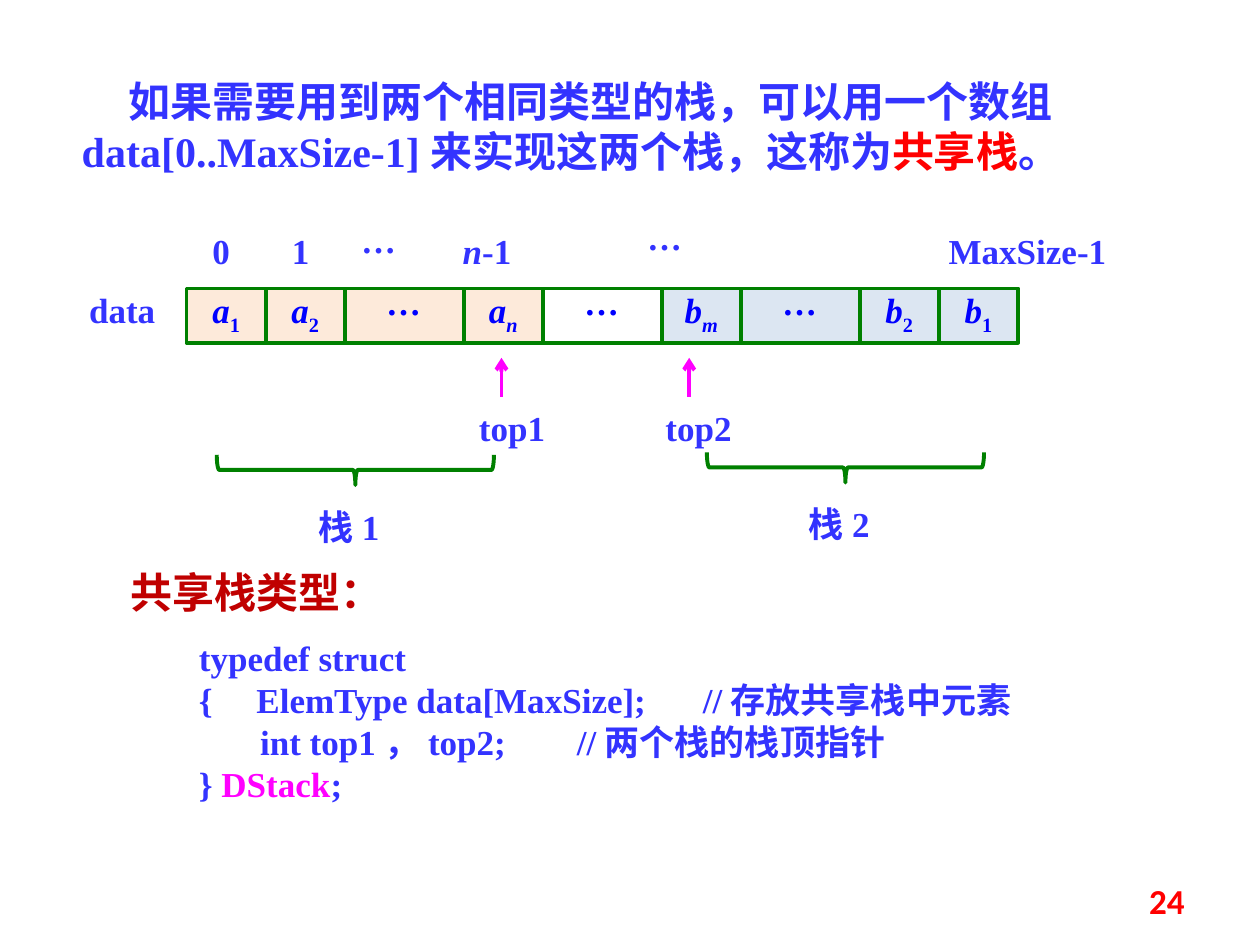
import pptx
import pptx.dml.color
import pptx.enum.shapes
import pptx.enum.text
import pptx.oxml.ns
import pptx.util
from lxml import etree

Inches, Pt = pptx.util.Inches, pptx.util.Pt
RGBColor = pptx.dml.color.RGBColor
SHAPE = pptx.enum.shapes.MSO_SHAPE
ALIGN = pptx.enum.text.PP_ALIGN
MIDDLE = pptx.enum.text.MSO_ANCHOR.MIDDLE
qn = pptx.oxml.ns.qn

BLUE = RGBColor(0x33, 0x33, 0xFF)
INK = RGBColor(0x00, 0x00, 0xFF)
RED = RGBColor(0xFF, 0x00, 0x00)
DARK = RGBColor(0xC0, 0x00, 0x00)
PINK = RGBColor(0xFF, 0x00, 0xFF)
GREEN = RGBColor(0x00, 0x80, 0x00)
PEACH = RGBColor(0xFD, 0xEA, 0xDA)
PALE = RGBColor(0xDC, 0xE6, 0xF2)

ROMAN, HAN = "Times New Roman", "Noto Sans CJK SC"
BASE = {"name": ROMAN, "size": Pt(20), "bold": True}
DOTS = ("…", {"name": HAN})


def put(item, values):
    for key, value in values.items():
        setattr(item, key, value)


def write(para, runs, color, extra=None):
    """Add runs given as (text, format) pairs; "color" and "sub" are special."""
    for text, own in runs:
        look = {**BASE, **(extra or {}), **own}
        shade = look.pop("color", color)
        sub = look.pop("sub", False)
        run = para.add_run()
        run.text = text
        put(run.font, look)
        run.font.color.rgb = shade
        props = run._r.get_or_add_rPr()
        if sub:
            props.set("baseline", "-25000")
        etree.SubElement(props, qn("a:ea")).set("typeface", HAN)


def block(slide, spot, lines, color=BLUE, extra=None, align=None, frame=None):
    """Add a text box with one paragraph per list of runs."""
    box = slide.shapes.add_textbox(*map(Inches, spot))
    text = box.text_frame
    put(text, {"word_wrap": True, **(frame or {})})
    for num, runs in enumerate(lines):
        para = text.add_paragraph() if num else text.paragraphs[0]
        para.alignment = align
        write(para, runs, color, extra)
    return box


def label(slide, left, top, width, *runs):
    frame = dict.fromkeys(
        ("margin_left", "margin_right", "margin_top", "margin_bottom"), 0)
    frame["word_wrap"] = False
    block(slide, (left, top, width, 0.34), [runs], align=ALIGN.CENTER,
          frame=frame)


def cell(slide, left, width, runs, fill):
    box = slide.shapes.add_shape(
        SHAPE.RECTANGLE, *map(Inches, (left, 2.29, width, 0.43)))
    box.shadow.inherit = False
    if fill:
        box.fill.solid()
        box.fill.fore_color.rgb = fill
    else:
        box.fill.background()
    box.line.color.rgb = GREEN
    box.line.width = Pt(2.25)
    put(box.text_frame, {"margin_top": 0, "margin_bottom": Inches(0.05),
                         "vertical_anchor": MIDDLE})
    para = box.text_frame.paragraphs[0]
    para.alignment = ALIGN.CENTER
    write(para, runs, INK)


def arrow(slide, left):
    line = slide.shapes.add_connector(
        pptx.enum.shapes.MSO_CONNECTOR.STRAIGHT,
        *map(Inches, (left, 3.15, left, 2.84)))
    line.line.color.rgb = PINK
    line.line.width = Pt(2.25)
    tail = etree.SubElement(line.line._get_or_add_ln(), qn("a:tailEnd"))
    tail.set("type", "arrow")
    etree.SubElement(line._element.spPr, qn("a:effectLst"))


def brace(slide, left, top):
    mark = slide.shapes.add_shape(
        SHAPE.RIGHT_BRACE, *map(Inches, (left, top, 0.24, 2.2)))
    mark.rotation = 90
    mark.shadow.inherit = False
    mark.fill.background()
    mark.line.color.rgb = GREEN
    mark.line.width = Pt(2.25)


def item(name, index):
    return [(name, {"italic": True}),
            (index, {"italic": index.isalpha(), "sub": True})]


def array(slide):
    # Cells are two units wide, gaps three
    unit, left = 6.6 / 21, 1.48
    cells = [
        (item("a", "1"), PEACH), (item("a", "2"), PEACH), ([DOTS], PEACH),
        (item("a", "n"), PEACH), ([DOTS], None), (item("b", "m"), PALE),
        ([DOTS], PALE), (item("b", "2"), PALE), (item("b", "1"), PALE),
    ]
    for runs, fill in cells:
        width = unit * (3 if runs == [DOTS] else 2)
        cell(slide, left, width, runs, fill)
        left += width

    # Indexes and array name
    label(slide, 1.56, 1.82, 0.39, ("0", {}))
    label(slide, 2.19, 1.82, 0.39, ("1", {}))
    label(slide, 2.81, 1.82, 0.39, DOTS)
    label(slide, 3.67, 1.82, 0.39, ("n", {"italic": True}), ("-1", {}))
    label(slide, 5.08, 1.8, 0.39, DOTS)
    label(slide, 7.49, 1.82, 1.33, ("MaxSize-1", {}))
    label(slide, 0.62, 2.29, 0.7, ("data", {}))


def main():
    deck = pptx.Presentation()
    put(deck, {"slide_width": Inches(10), "slide_height": Inches(7.5)})
    slide = deck.slides.add_slide(deck.slide_layouts[6])

    # Opening statement
    intro = block(slide, (0.55, 0.55, 8.52, 0.91), [[
        ("如果需要用到两个相同类型的栈，可以用一个数组"
         "data[0..MaxSize-1]来实现这两个栈，这称为", {}),
        ("共享栈", {"color": RED}), ("。", {})]], extra={"size": Pt(24)})
    intro.text_frame.paragraphs[0]._p.get_or_add_pPr().set(
        "indent", str(Inches(0.37)))

    array(slide)

    # Top pointers and stack extents
    for num, tip, name, mark, top in ((1, 3.98, 3.75, 2.7, 2.63),
                                      (2, 5.47, 5.23, 6.59, 2.61)):
        arrow(slide, tip)
        label(slide, name, 3.23, 0.63, (f"top{num}", {}))
        brace(slide, mark, top)
        label(slide, mark - 0.28, top + 1.38, 0.7, (f"栈{num}", {}))

    # Type definition
    block(slide, (1.48, 5, 7.11, 1.45), [
        [("typedef struct", {})],
        [("{     ElemType data[MaxSize];\t//存放共享栈中元素", {})],
        [("       int top1，top2;\t\t//两个栈的栈顶指针", {})],
        [("} ", {}), ("DStack", {"color": PINK}), (";", {})],
    ])
    block(slide, (0.94, 4.45, 2.42, 0.5), [[("共享栈类型：", {})]], DARK,
          {"name": HAN, "size": Pt(24)})

    # Page number
    block(slide, (7.17, 6.95, 2.33, 0.4), [[("24", {})]], RED,
          {"name": "Calibri"}, ALIGN.RIGHT, {"vertical_anchor": MIDDLE})

    deck.save("out.pptx")


if __name__ == "__main__":
    main()
